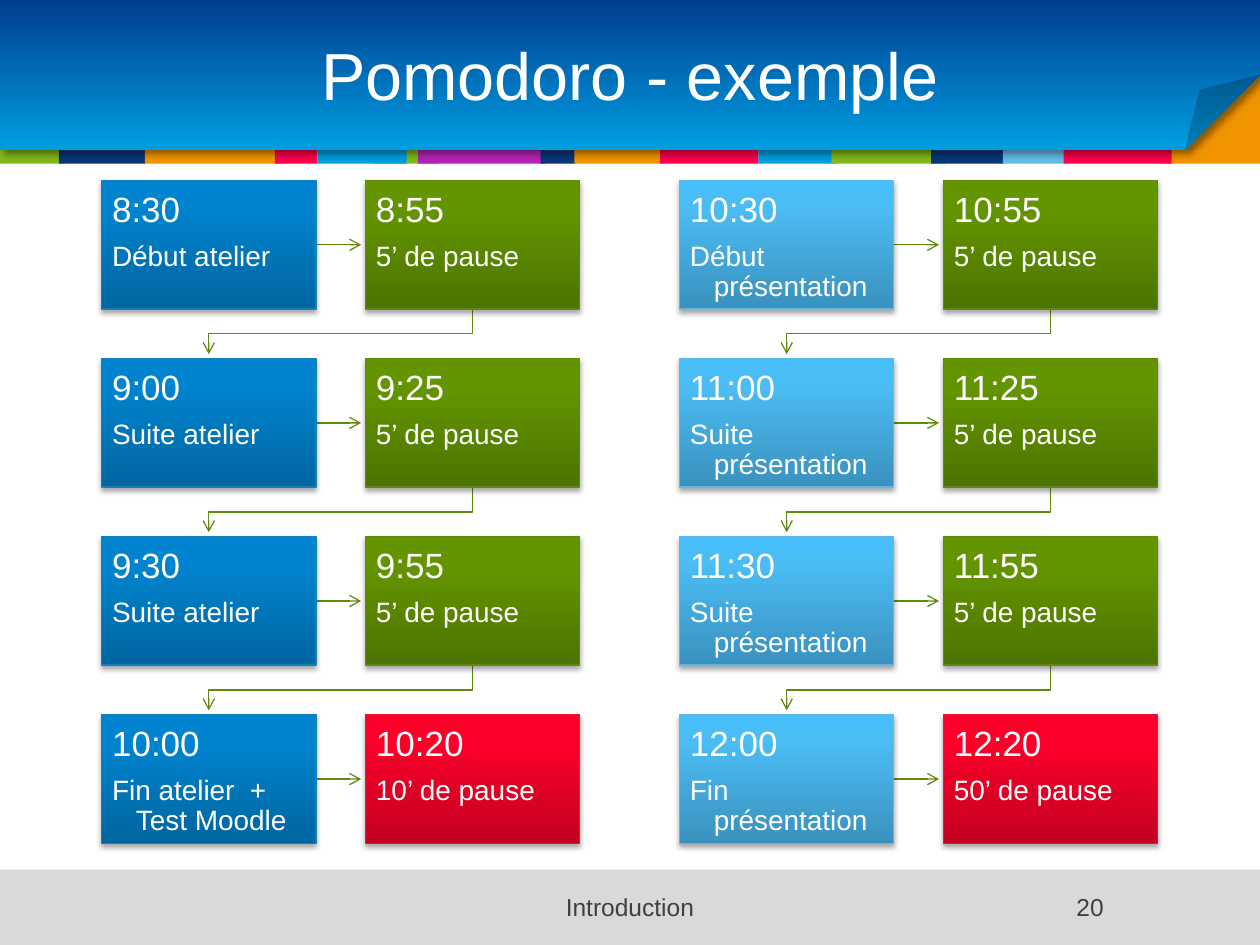
from dataclasses import dataclass

from lxml.etree import SubElement
from pptx import Presentation
from pptx.dml.color import RGBColor
from pptx.enum.shapes import MSO_CONNECTOR as CONN, MSO_SHAPE as SHAPE
from pptx.enum.text import MSO_ANCHOR as ANCHOR, PP_ALIGN as ALIGN
from pptx.oxml.ns import qn
from pptx.util import Cm, Pt


@dataclass(frozen=True)
class Theme:
    font: str = "Arial"
    title: int = 38
    time: int = 20
    label: int = 16
    footer: int = 14
    white: str = "FFFFFF"
    grey: str = "404040"
    footer_band: str = "D9D9D9"
    arrow: str = "618812"
    green: str = "83B818"
    orange: str = "F29400"
    navy: str = "073779"
    red: str = "FF014B"
    cyan: str = "009EE0"
    purple: str = "B523B4"
    sky: str = "62BCE9"
    header: tuple = ((0, "009EE0"), (100, "003E90"))
    # Card styles: gradient stops, line colour
    workshop: tuple = (((0, "0066A0"), (80, "0084CF"), (100, "0085D0")), "1280BF")
    talk: tuple = (((0, "3A91BD"), (80, "4BBDF5"), (100, "48BFFA")), "5DB9E7")
    pause: tuple = (((0, "4D7300"), (80, "649500"), (100, "649600")), "60880F")
    long_pause: tuple = (((0, "C20020"), (80, "FC002A"), (100, "FD002A")), "E6183A")


THEME = Theme()
rgb = RGBColor.from_string

# Left edge, width (cm) and colour, from back to front
STRIPES = [
    (7.54, 1.3, THEME.green), (23.39, 2.01, THEME.orange), (0, 1.3, THEME.green),
    (1.19, 1.75, THEME.navy), (2.92, 2.79, THEME.orange), (5.54, 0.86, THEME.red),
    (6.4, 1.8, THEME.cyan), (8.43, 2.57, THEME.purple), (10.9, 0.71, THEME.navy),
    (11.58, 1.8, THEME.orange), (13.31, 1.98, THEME.red), (15.29, 1.55, THEME.cyan),
    (16.76, 2.31, THEME.green), (18.77, 1.47, THEME.navy), (20.22, 1.27, THEME.sky),
    (21.44, 2.18, THEME.red),
]

# Work time, work label, break time, break minutes
MORNING = [
    ("8:30", "Début atelier", "8:55", 5), ("9:00", "Suite atelier", "9:25", 5),
    ("9:30", "Suite atelier", "9:55", 5),
    ("10:00", "Fin atelier  + Test Moodle", "10:20", 10),
]
LATE_MORNING = [
    ("10:30", "Début présentation", "10:55", 5),
    ("11:00", "Suite présentation", "11:25", 5),
    ("11:30", "Suite présentation", "11:55", 5),
    ("12:00", "Fin présentation", "12:20", 50),
]

CARD_W, CARD_H = 4.32, 2.59
COL_STEP, ROW_STEP = 5.32, 3.59
TOP, ARROW_GAP = 3.64, 0.09


def apply(obj, values):
    for name, value in values.items():
        setattr(obj, name, value)


def add_box(slide, x, y, w, h, color=None, shape=SHAPE.RECTANGLE):
    sp = slide.shapes.add_shape(shape, Cm(x), Cm(y), Cm(w), Cm(h))
    sp.shadow.inherit = False
    sp.line.fill.background()
    if color:
        sp.fill.solid()
        sp.fill.fore_color.rgb = rgb(color)
    return sp


def set_gradient(sp, stops):
    """Fill from bottom to top with (percent, colour) stops."""
    sp.fill.gradient()
    sp.fill.gradient_angle = 90
    gs_list = sp._element.spPr.find(qn("a:gradFill")).find(qn("a:gsLst"))
    for gs in list(gs_list):
        gs_list.remove(gs)
    for percent, color in stops:
        gs = SubElement(gs_list, qn("a:gs"), pos=str(percent * 1000))
        SubElement(gs, qn("a:srgbClr"), val=color)


def set_shadow(sp, alpha, blur, dist, angle):
    effects = sp._element.spPr.find(qn("a:effectLst"))
    shadow = SubElement(effects, qn("a:outerShdw"), blurRad=str(Pt(blur)),
                        dist=str(Pt(dist)), dir=str(angle * 60000), rotWithShape="0")
    color = SubElement(shadow, qn("a:srgbClr"), val="000000")
    SubElement(color, qn("a:alpha"), val=str(alpha * 1000))


def set_line(sp, color):
    sp.line.color.rgb = rgb(color)
    sp.line.width = Pt(0.75)


def write(p, text, size, color, **paragraph_format):
    apply(p, paragraph_format)
    r = p.add_run()
    r.text = text
    apply(r.font, {"name": THEME.font, "size": Pt(size)})
    r.font.color.rgb = rgb(color)


def add_text(slide, x, y, w, h, text, size, color, align, anchor=ANCHOR.TOP):
    tf = slide.shapes.add_textbox(Cm(x), Cm(y), Cm(w), Cm(h)).text_frame
    apply(tf, {"word_wrap": True, "vertical_anchor": anchor})
    write(tf.paragraphs[0], text, size, color, alignment=align)


def add_card(slide, x, y, time, label, style):
    stops, line = style
    sp = add_box(slide, x, y, CARD_W, CARD_H)
    set_gradient(sp, stops)
    set_shadow(sp, 35, 3.1, 1.8, 90)
    set_line(sp, line)
    tf = sp.text_frame
    apply(tf, {"word_wrap": True, "vertical_anchor": ANCHOR.TOP,
               "margin_left": Cm(0.21), "margin_right": Cm(0.21),
               "margin_top": Cm(0.23), "margin_bottom": Cm(0.23)})
    common = {"alignment": ALIGN.LEFT, "line_spacing": 0.9}
    write(tf.paragraphs[0], time, THEME.time, THEME.white, space_after=Pt(7), **common)
    p = tf.add_paragraph()
    pPr = p._p.get_or_add_pPr()
    pPr.set("marL", str(Cm(0.48)))
    pPr.set("indent", str(-Cm(0.48)))
    write(p, label, THEME.label, THEME.white, level=1, space_after=Pt(2.4), **common)


def style_arrow(sp):
    set_line(sp, THEME.arrow)
    SubElement(sp.line._get_or_add_ln(), qn("a:tailEnd"), type="arrow")


def add_arrow(slide, x1, x2, y):
    sp = slide.shapes.add_connector(CONN.STRAIGHT, Cm(x1), Cm(y), Cm(x2), Cm(y))
    style_arrow(sp)
    SubElement(sp._element.spPr, qn("a:effectLst"))


def add_return_arrow(slide, x1, y1, x2, y2, bend_y):
    builder = slide.shapes.build_freeform(Cm(x1), Cm(y1))
    bends = [(x1, bend_y), (x2, bend_y), (x2, y2)]
    builder.add_line_segments([(Cm(x), Cm(y)) for x, y in bends], close=False)
    sp = builder.convert_to_shape()
    sp.fill.background()
    sp.shadow.inherit = False
    style_arrow(sp)


def add_schedule(slide, left, rows, work_style):
    right = left + COL_STEP
    for i, (work_time, work, break_time, minutes) in enumerate(rows):
        y = TOP + i * ROW_STEP
        last = i == len(rows) - 1
        add_arrow(slide, left + CARD_W, right - ARROW_GAP, y + CARD_H / 2)
        if not last:
            bottom, below = y + CARD_H, y + ROW_STEP
            add_return_arrow(slide, right + CARD_W / 2, bottom, left + CARD_W / 2,
                             below - ARROW_GAP, (bottom + below) / 2)
        add_card(slide, left, y, work_time, work, work_style)
        add_card(slide, right, y, break_time, f"{minutes}’ de pause",
                 THEME.long_pause if last else THEME.pause)


def add_frame(slide):
    for x, w, color in STRIPES:
        top = 1.19 if x + w >= 25.4 else 2.06
        add_box(slide, x, top, w, 3.3 - top, color)
    header = add_box(slide, 0, 0, 25.4, 3.02, shape=SHAPE.FOLDED_CORNER)
    guides = header._element.spPr.find(qn("a:prstGeom")).find(qn("a:avLst"))
    SubElement(guides, qn("a:gd"), name="adj", fmla="val 50000")
    set_gradient(header, THEME.header)
    set_shadow(header, 40, 4, 3, 45)
    add_box(slide, 0, 17.53, 25.4, 1.52, THEME.footer_band)


def main():
    prs = Presentation()
    apply(prs, {"slide_width": Cm(25.4), "slide_height": Cm(19.05)})
    slide = prs.slides.add_slide(prs.slide_layouts[6])
    add_frame(slide)
    add_text(slide, 1.27, 0.18, 22.86, 2.62, "Pomodoro - exemple", THEME.title,
             THEME.white, ALIGN.CENTER, ANCHOR.MIDDLE)
    footer = (THEME.footer, THEME.grey)
    add_text(slide, 6.5, 17.86, 12.4, 0.94, "Introduction", *footer, ALIGN.CENTER)
    add_text(slide, 19.5, 17.86, 3, 0.94, "20", *footer, ALIGN.RIGHT)
    add_schedule(slide, 2.05, MORNING, THEME.workshop)
    add_schedule(slide, 13.7, LATE_MORNING, THEME.talk)
    prs.save("out.pptx")


if __name__ == "__main__":
    main()
